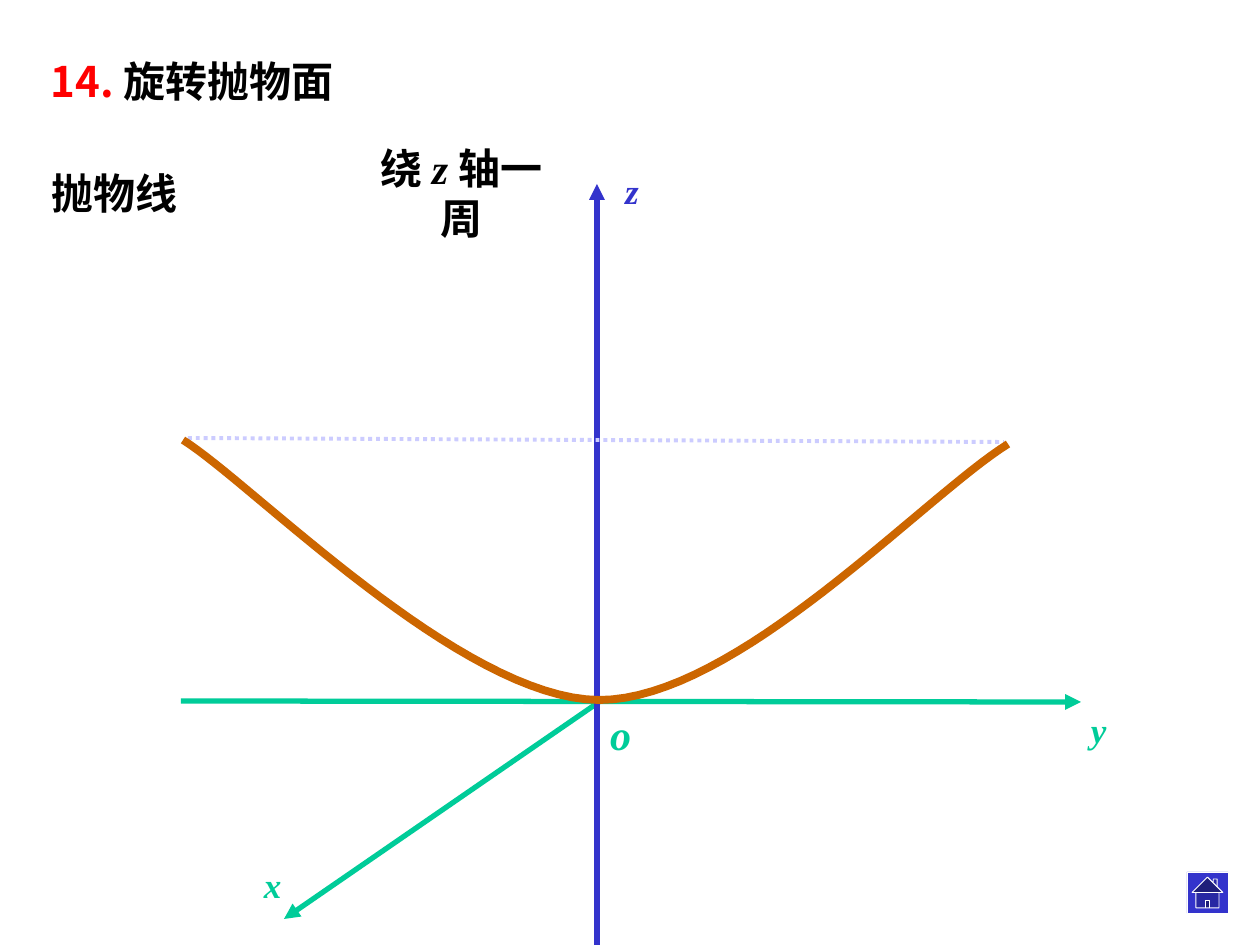
from pptx import Presentation
from pptx.dml.color import RGBColor
from pptx.enum.dml import MSO_LINE
from pptx.enum.shapes import MSO_CONNECTOR, MSO_SHAPE
from pptx.enum.text import MSO_ANCHOR, PP_ALIGN
from pptx.oxml.ns import qn
from pptx.util import Emu, Inches, Pt
from lxml import etree

GREEN = RGBColor(0x00, 0xCC, 0x99)
BLUE = RGBColor(0x33, 0x33, 0xCC)
LAVENDER = RGBColor(0xCC, 0xCC, 0xFF)
ORANGE = RGBColor(0xCC, 0x66, 0x00)
RED = RGBColor(0xFF, 0x00, 0x00)
BLACK = RGBColor(0x00, 0x00, 0x00)
WHITE = RGBColor(0xFF, 0xFF, 0xFF)

STRAIGHT = MSO_CONNECTOR.STRAIGHT
HOME = MSO_SHAPE.ACTION_BUTTON_HOME
DOTTED = MSO_LINE.ROUND_DOT
MIDDLE, TOP = MSO_ANCHOR.MIDDLE, MSO_ANCHOR.TOP
CENTER, LEFT = PP_ALIGN.CENTER, PP_ALIGN.LEFT

SERIF = "Times New Roman"
SANS = "Noto Sans CJK SC"
PX = 914400 / 126
CURVE_STEPS = 32


def px(length):
    """Turn px into EMU."""
    return Emu(round(length * PX))


def add_label(slide, box, *runs, size=24, align=CENTER, anchor=MIDDLE, wrap=True, inset=12):
    """Add bold text made of (text, colour, italic, font) runs."""
    label = slide.shapes.add_textbox(*map(px, box))
    frame = label.text_frame
    frame.word_wrap = wrap
    frame.vertical_anchor = anchor
    frame.margin_left = frame.margin_right = px(inset)
    paragraph = frame.paragraphs[0]
    paragraph.alignment = align
    for text, color, italic, font in runs:
        run = paragraph.add_run()
        run.text = text
        run.font.name = font
        run.font.size = Pt(size)
        run.font.bold = True
        run.font.italic = italic
        run.font.color.rgb = color


def add_line(slide, start, end, color, width, arrow=False, dash=None):
    """Add a straight line, with an arrowhead or a dash style if asked."""
    connector = slide.shapes.add_connector(STRAIGHT, *map(px, start + end))
    connector.line.color.rgb = color
    connector.line.width = Pt(width)
    if dash:
        connector.line.dash_style = dash
    properties = connector._element.spPr
    if arrow:
        etree.SubElement(properties.find(qn("a:ln")), qn("a:tailEnd"), type="triangle")
    etree.SubElement(properties, qn("a:effectLst"))


def bezier(p0, p1, p2, p3):
    """Return points along a cubic curve, without its first point."""
    points = []
    for step in range(1, CURVE_STEPS + 1):
        t = step / CURVE_STEPS
        u = 1 - t
        weights = (u**3, 3 * u * u * t, 3 * u * t * t, t**3)
        points.append(tuple(
            sum(w * p[axis] for w, p in zip(weights, (p0, p1, p2, p3))) * PX
            for axis in (0, 1)))
    return points


def add_parabola(slide, left, vertex, right, left_controls, right_controls):
    """Add the open parabola through its two ends and its vertex."""
    builder = slide.shapes.build_freeform(px(left[0]), px(left[1]))
    points = bezier(left, *left_controls, vertex) + bezier(vertex, *right_controls, right)
    builder.add_line_segments(points, close=False)
    parabola = builder.convert_to_shape()
    parabola.shadow.inherit = False
    parabola.fill.background()
    parabola.line.color.rgb = ORANGE
    parabola.line.width = Pt(4.5)


def add_home_button(slide, box):
    """Add the home button."""
    button = slide.shapes.add_shape(HOME, *map(px, box))
    button.shadow.inherit = False
    button.fill.solid()
    button.fill.fore_color.rgb = BLUE
    button.line.color.rgb = WHITE
    button.line.width = Pt(0.5)


def main():
    """Build the slide."""
    deck = Presentation()
    deck.slide_width, deck.slide_height = Inches(10), Inches(7.5)
    slide = deck.slides.add_slide(deck.slide_layouts[6])

    axes = [
        ((181, 701), (1081, 702), GREEN),
        ((599, 702), (284, 919), GREEN),
        ((597, 945), (597, 184), BLUE),
    ]
    for start, end, color in axes:
        add_line(slide, start, end, color, 3, arrow=True)

    axis_names = [
        ("y", (1079, 702, 45, 54), GREEN, LEFT),
        ("x", (224, 857, 97, 54), GREEN, CENTER),
        ("z", (593, 163, 78, 54), BLUE, CENTER),
    ]
    for name, box, color, align in axis_names:
        add_label(slide, box, (name, color, True, SERIF), size=20, align=align)
    add_label(slide, (597, 702, 47, 63), ("o", GREEN, True, SERIF), wrap=False)

    add_line(slide, (188, 438), (1004, 442), LAVENDER, 2.25, dash=DOTTED)
    add_parabola(slide, (183, 440), (599, 700), (1008, 444),
                 ((252, 483), (461, 699)), ((736, 700), (922, 498)))

    add_label(slide, (39, 161, 152, 63), ("抛物线", BLACK, False, SERIF), wrap=False)
    add_label(slide, (345, 161, 233, 63), ("绕 ", BLACK, False, SERIF),
              ("z ", BLACK, True, SERIF), ("轴一周", BLACK, False, SERIF), inset=20)
    add_home_button(slide, (1187, 872, 41, 41))
    add_label(slide, (39, 49, 368, 67), ("14. ", RED, False, SANS),
              ("旋转抛物面", BLACK, False, SERIF), align=LEFT, anchor=TOP)

    deck.save("out.pptx")


if __name__ == "__main__":
    main()
